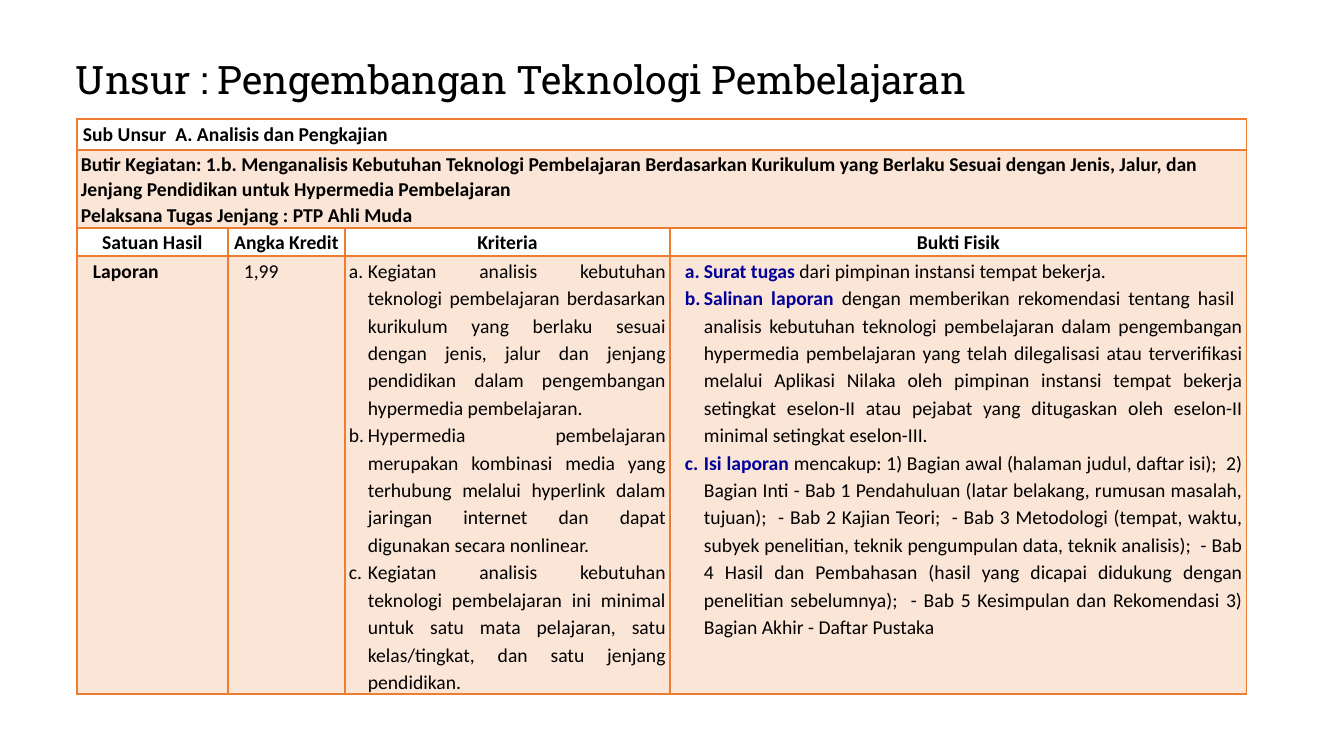
"""Build the slide on the credit criteria for analysing learning technology needs."""
import lxml.etree
import pptx
import pptx.dml.color
import pptx.enum.text
import pptx.oxml.ns
import pptx.util

ALIGN = pptx.enum.text.PP_ALIGN
ANCHOR = pptx.enum.text.MSO_ANCHOR
COLOURS = {"text": "000000", "key": "000099", "line": "ED7D31", "band": "FBE5D6"}
TITLE = "Unsur : Pengembangan Teknologi Pembelajaran"
SUB_ELEMENT = "Sub Unsur  A. Analisis dan Pengkajian"
ACTIVITY = [
    "Butir Kegiatan: 1.b. Menganalisis Kebutuhan Teknologi Pembelajaran Berdasarkan "
    "Kurikulum yang Berlaku Sesuai dengan Jenis, Jalur, dan Jenjang Pendidikan untuk "
    "Hypermedia Pembelajaran",
    "Pelaksana Tugas Jenjang : PTP Ahli Muda",
]
HEADINGS = ["Satuan Hasil", "Angka Kredit", "Kriteria", "Bukti Fisik"]
RESULT, CREDIT = "Laporan", "1,99"
CRITERIA = [
    "Kegiatan analisis kebutuhan teknologi pembelajaran berdasarkan kurikulum yang berlaku "
    "sesuai dengan jenis, jalur dan jenjang pendidikan dalam pengembangan hypermedia "
    "pembelajaran.",
    "Hypermedia pembelajaran merupakan kombinasi media yang terhubung melalui hyperlink "
    "dalam jaringan internet dan dapat digunakan secara nonlinear.",
    "Kegiatan analisis kebutuhan teknologi pembelajaran ini minimal untuk satu mata "
    "pelajaran, satu kelas/tingkat, dan satu jenjang pendidikan.",
]
EVIDENCE = [
    ("Surat tugas ", "dari pimpinan instansi tempat bekerja."),
    ("Salinan laporan ",
     "dengan memberikan rekomendasi tentang hasil  analisis kebutuhan teknologi pembelajaran "
     "dalam pengembangan hypermedia pembelajaran yang telah dilegalisasi atau terverifikasi "
     "melalui Aplikasi Nilaka oleh pimpinan instansi tempat bekerja setingkat eselon-II atau "
     "pejabat yang ditugaskan oleh eselon-II minimal setingkat eselon-III."),
    ("Isi laporan ",
     "mencakup: 1) Bagian awal (halaman judul, daftar isi);  2) Bagian Inti - Bab 1 "
     "Pendahuluan (latar belakang, rumusan masalah, tujuan);  - Bab 2 Kajian Teori;  - Bab 3 "
     "Metodologi (tempat, waktu, subyek penelitian, teknik pengumpulan data, teknik "
     "analisis);  - Bab 4 Hasil dan Pembahasan (hasil yang dicapai didukung dengan penelitian "
     "sebelumnya);  - Bab 5 Kesimpulan dan Rekomendasi 3) Bagian Akhir - Daftar Pustaka"),
]
COLUMN_WIDTHS = [151, 117, 325, 577]
ROW_HEIGHTS = [31, 78, 28, 438]
BANDED_ROWS = (1, 3)


def px(value):
    return pptx.util.Emu(round(value * 914400 / 100.8))


def rgb(name):
    return pptx.dml.color.RGBColor.from_string(COLOURS[name])


def child(parent, tag, **attributes):
    return lxml.etree.SubElement(parent, pptx.oxml.ns.qn(tag), **attributes)


def set_font(font, size=14, name="Calibri", bold=False, colour="text"):
    font.size = pptx.util.Pt(size)
    font.name = name
    font.bold = bold
    font.color.rgb = rgb(colour)


def write(cell, items, bold=False, align=ALIGN.LEFT, spacing=1.15, margin=0, hanging=0):
    frame = cell.text_frame
    for index, item in enumerate(items):
        paragraph = frame.paragraphs[0] if index == 0 else frame.add_paragraph()
        paragraph.alignment = align
        paragraph.line_spacing = spacing
        properties = paragraph._p.get_or_add_pPr()
        properties.set("marL", str(px(margin)))
        properties.set("indent", str(px(-hanging)))
        if hanging:
            child(properties, "a:buFont", typeface="+mj-lt")
            child(properties, "a:buAutoNum", type="alphaLcPeriod")
        if isinstance(item, tuple):
            for text, is_key in zip(item, (True, False)):
                run = paragraph.add_run()
                run.text = text
                set_font(run.font, bold=is_key, colour="key" if is_key else "text")
        else:
            paragraph.add_run().text = item
            set_font(paragraph.font, bold=bold)


def style_cell(cell, row):
    cell.margin_left = cell.margin_right = px(4)
    cell.margin_top = cell.margin_bottom = 0
    cell.vertical_anchor = ANCHOR.MIDDLE if row in (1, 2) else ANCHOR.TOP
    properties = cell._tc.get_or_add_tcPr()
    for side in "LRTB":
        thick = (row, side) in ((0, "B"), (1, "T"))
        line = child(properties, f"a:ln{side}", w=str(pptx.util.Pt(2 if thick else 1)))
        child(child(line, "a:solidFill"), "a:srgbClr", val=COLOURS["line"])
    if row in BANDED_ROWS:
        cell.fill.solid()
        cell.fill.fore_color.rgb = rgb("band")
    else:
        cell.fill.background()


presentation = pptx.Presentation()
presentation.slide_width, presentation.slide_height = px(1344), px(756)
slide = presentation.slides.add_slide(presentation.slide_layouts[6])

title = slide.shapes.add_textbox(px(66), px(51), px(1159), px(62)).text_frame
title.word_wrap = True
title.vertical_anchor = ANCHOR.MIDDLE
title.paragraphs[0].add_run().text = TITLE
title.paragraphs[0].line_spacing = 0.9
set_font(title.paragraphs[0].font, size=28, name="Roboto Slab")

table = slide.shapes.add_table(
    len(ROW_HEIGHTS), len(COLUMN_WIDTHS), px(77), px(119),
    px(sum(COLUMN_WIDTHS)), px(sum(ROW_HEIGHTS))).table
table.first_row = table.horz_banding = False
for column, width in zip(table.columns, COLUMN_WIDTHS):
    column.width = px(width)
for row, height in enumerate(ROW_HEIGHTS):
    table.rows[row].height = px(height)
    for cell in table.rows[row].cells:
        style_cell(cell, row)
for row in (0, 1):
    table.cell(row, 0).merge(table.cell(row, len(COLUMN_WIDTHS) - 1))

write(table.cell(0, 0), [SUB_ELEMENT], bold=True, margin=2)
write(table.cell(1, 0), ACTIVITY, bold=True, spacing=1.07)
for column, heading in enumerate(HEADINGS):
    write(table.cell(2, column), [heading], bold=True, align=ALIGN.CENTER, spacing=1.07)
write(table.cell(3, 0), [RESULT], bold=True, margin=12)
write(table.cell(3, 1), [CREDIT], margin=12)
write(table.cell(3, 2), CRITERIA, align=ALIGN.JUSTIFY, margin=19, hanging=19)
write(table.cell(3, 3), EVIDENCE, align=ALIGN.JUSTIFY, margin=30, hanging=19)

presentation.save("out.pptx")
